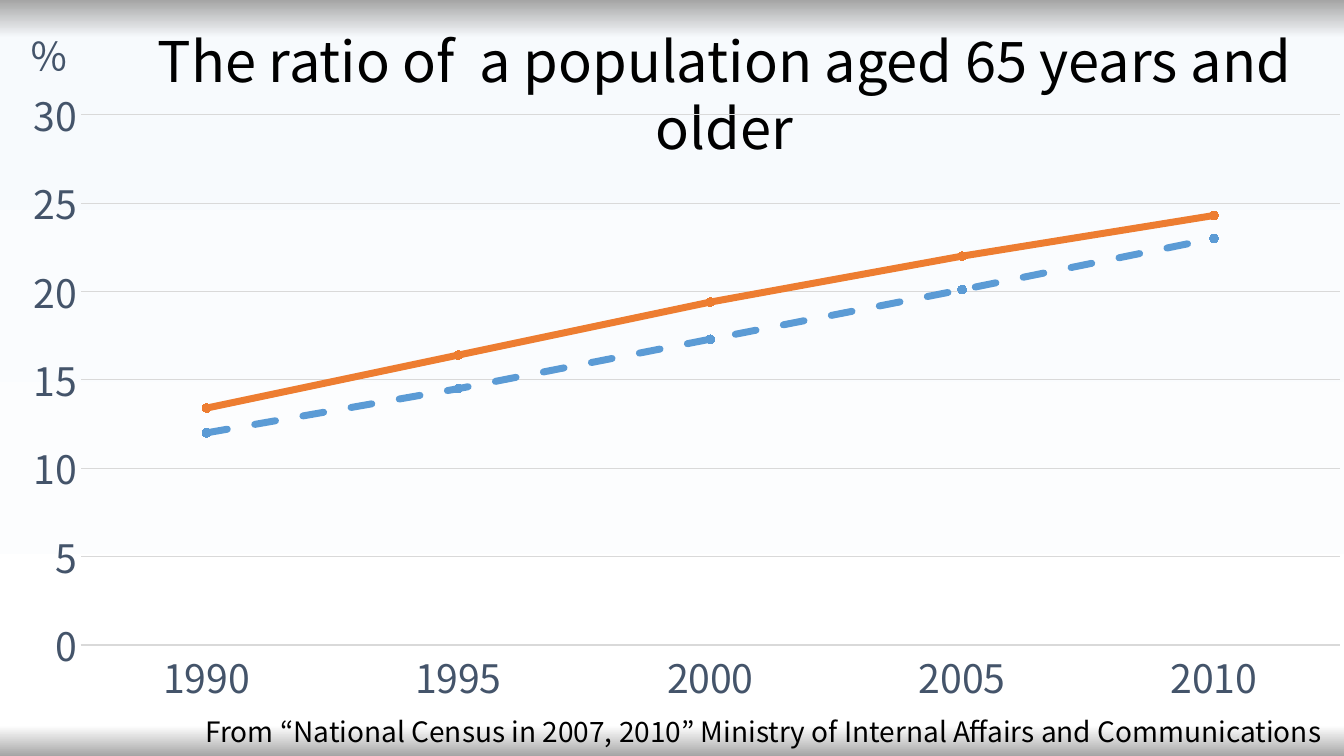
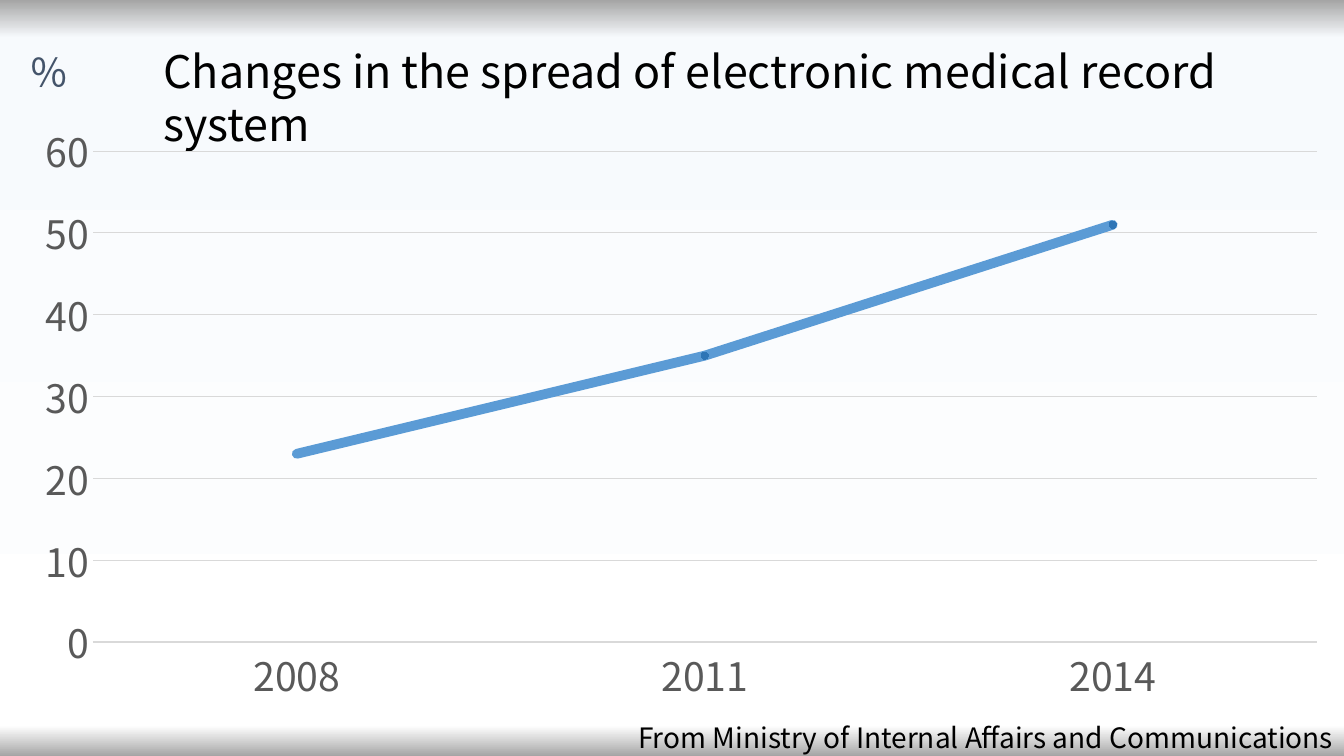
from dataclasses import dataclass

from lxml import etree
from pptx import Presentation
from pptx.chart.data import CategoryChartData
from pptx.dml.color import RGBColor
from pptx.enum.chart import XL_CHART_TYPE, XL_MARKER_STYLE, XL_TICK_MARK
from pptx.enum.dml import MSO_LINE
from pptx.enum.text import MSO_ANCHOR, MSO_AUTO_SIZE, PP_ALIGN
from pptx.oxml.ns import qn
from pptx.util import Emu, Pt

LINE_MARKERS = XL_CHART_TYPE.LINE_MARKERS
CIRCLE = XL_MARKER_STYLE.CIRCLE
NO_TICK = XL_TICK_MARK.NONE
DASH, SOLID = MSO_LINE.DASH, MSO_LINE.SOLID
TOP = MSO_ANCHOR.TOP
FIXED = MSO_AUTO_SIZE.NONE
LEFT, CENTER = PP_ALIGN.LEFT, PP_ALIGN.CENTER
EMU_PER_PX = 9144
TITLE_ONLY = 5


@dataclass(frozen=True)
class Theme:
    """Colours, font and type sizes of the deck."""

    font: str = "Noto Sans CJK JP"
    ink: str = "000000"
    slate: str = "44546A"
    gray: str = "595959"
    grid: str = "D9D9D9"
    blue: str = "5B9BD5"
    deep_blue: str = "2E75B6"
    orange: str = "ED7D31"
    backdrop: tuple = ((0, "A5A5A5"), (5, "F7FAFD"), (96, "FFFFFF"), (100, "A5A5A5"))
    title: int = 40
    long_title: int = 32
    axis: int = 28
    source: int = 20


T = Theme()


@dataclass(frozen=True)
class Line:
    """One series of a line chart; accents are the points with a deeper marker."""

    values: tuple
    color: str
    width: int
    marker: int
    dash: MSO_LINE = SOLID
    accents: tuple = ()


def px(n):
    """Turn px into EMU."""
    return Emu(n * EMU_PER_PX)


def rgb(color):
    """Turn a hex string into a colour."""
    return RGBColor.from_string(color)


def sub(parent, tag, **attrs):
    """Append an XML child with attributes."""
    return etree.SubElement(parent, qn(tag), attrs)


def style_font(font, size, color):
    """Apply the theme font with a size and colour."""
    font.size = Pt(size)
    font.color.rgb = rgb(color)
    font.name = T.font


def style_stroke(line, color, width):
    """Set the colour and width of a line."""
    line.color.rgb = rgb(color)
    line.width = Pt(width)


def paint_backdrop(master):
    """Give the master the vertical gradient with dark edges."""
    fill = master.background.fill
    fill.gradient()
    fill.gradient_angle = 270
    stops = next(master.element.iter(qn("a:gsLst")))
    for stop in list(stops):
        stops.remove(stop)
    for pos, color in T.backdrop:
        gs = sub(stops, "a:gs", pos=str(pos * 1000))
        sub(gs, "a:srgbClr", val=color)


def fill_text(sp, box, text, size, color=T.ink, align=LEFT):
    """Place a shape in its box and write one styled paragraph."""
    sp.left, sp.top, sp.width, sp.height = map(px, box)
    tf = sp.text_frame
    tf.word_wrap = True
    tf.auto_size = FIXED
    tf.vertical_anchor = TOP
    p = tf.paragraphs[0]
    p.text = text
    p.alignment = align
    for r in p.runs:
        style_font(r.font, size, color)
    for latin in list(sp.element.iter(qn("a:latin"))):
        latin.addnext(etree.Element(qn("a:ea"), typeface=T.font))


def add_label(s, box, text, size, color=T.ink):
    """Add a text box."""
    fill_text(s.shapes.add_textbox(0, 0, 0, 0), box, text, size, color)


def set_plot_box(chart, box, plot):
    """Fix the inner plot area within the chart box and clear its backdrop."""
    area = next(chart.element.iter(qn("c:plotArea")))
    for old in area.findall(qn("c:layout")):
        area.remove(old)
    layout = etree.Element(qn("c:layout"))
    manual = sub(layout, "c:manualLayout")
    sub(manual, "c:layoutTarget", val="inner")
    for tag in ("c:xMode", "c:yMode"):
        sub(manual, tag, val="edge")
    for tag, length, whole in zip("xywh", plot, box[2:] * 2):
        sub(manual, f"c:{tag}", val=str(length / whole))
    area.insert(0, layout)
    props = etree.Element(qn("c:spPr"))
    sub(props, "a:noFill")
    sub(sub(props, "a:ln"), "a:noFill")
    chart.element.find(qn("c:chart")).addnext(props)


def style_axes(chart, top, step, color, base_width):
    """Format both axes and the gridlines."""
    for axis in (chart.category_axis, chart.value_axis):
        axis.major_tick_mark = axis.minor_tick_mark = NO_TICK
        style_font(axis.tick_labels.font, T.axis, color)
    style_stroke(chart.category_axis.format.line, T.grid, base_width)
    axis = chart.value_axis
    axis.minimum_scale, axis.maximum_scale, axis.major_unit = 0, top, step
    axis.format.line.fill.background()
    style_stroke(axis.major_gridlines.format.line, T.grid, 0.75)


def style_marker(marker, size, color):
    """Make a round marker in one colour."""
    marker.style = CIRCLE
    marker.size = size
    marker.format.fill.solid()
    marker.format.fill.fore_color.rgb = rgb(color)
    marker.format.line.color.rgb = rgb(color)


def style_series(series, line):
    """Format a series and its accented points."""
    series.smooth = False
    style_stroke(series.format.line, line.color, line.width)
    series.format.line.dash_style = line.dash
    style_marker(series.marker, line.marker, line.color)
    for i in line.accents:
        point = series.points[i]
        style_marker(point.marker, line.marker, T.deep_blue)
        style_stroke(point.format.line, T.deep_blue, line.width)


def add_line_chart(s, box, plot, cats, lines, top, step, color, base_width):
    """Add a line chart with round line ends."""
    data = CategoryChartData()
    data.categories = cats
    for i, line in enumerate(lines, 1):
        data.add_series(f"Series {i}", line.values)
    chart = s.shapes.add_chart(LINE_MARKERS, *map(px, box), data).chart
    chart.has_legend = chart.has_title = False
    style_font(chart.font, 10, T.ink)
    chart.plots[0].vary_by_categories = False
    style_axes(chart, top, step, color, base_width)
    for series, line in zip(chart.plots[0].series, lines):
        style_series(series, line)
    for ser in chart.element.iter(qn("c:ser")):
        ser.find(qn("c:spPr")).find(qn("a:ln")).set("cap", "rnd")
    set_plot_box(chart, box, plot)


def add_chart_slide(prs, title, unit_box, source, chart):
    """Add a slide with a chart, its title, its unit and its source."""
    s = prs.slides.add_slide(prs.slide_layouts[TITLE_ONLY])
    add_line_chart(s, **chart)
    fill_text(s.shapes.title, **title)
    add_label(s, unit_box, "％", T.axis, T.slate)
    add_label(s, *source, T.source)


def main():
    """Build the deck."""
    prs = Presentation()
    prs.slide_width, prs.slide_height = px(1333), px(750)
    paint_backdrop(prs.slide_master)
    add_chart_slide(
        prs,
        title=dict(
            box=(103, 21, 1231, 144),
            text="The ratio of  a population aged 65 years and older",
            size=T.title,
            align=CENTER,
        ),
        unit_box=(19, 27, 77, 57),
        source=(
            (194, 704, 1139, 44),
            "From “National Census in 2007, 2010” Ministry of Internal Affairs and Communications",
        ),
        chart=dict(
            box=(26, 0, 1308, 700),
            plot=(54, 114, 1249, 526),
            cats=("1990", "1995", "2000", "2005", "2010"),
            lines=(
                Line((12, 14.5, 17.3, 20.1, 23), T.blue, 5, 6, DASH),
                Line((13.4, 16.4, 19.4, 22, 24.3), T.orange, 5, 6),
            ),
            top=30,
            step=5,
            color=T.slate,
            base_width=1,
        ),
    )
    add_chart_slide(
        prs,
        title=dict(
            box=(152, 38, 1142, 117),
            text="Changes in the spread of electronic medical record system",
            size=T.long_title,
        ),
        unit_box=(19, 43, 77, 57),
        source=((623, 710, 710, 44), "From Ministry of Internal Affairs and Communications"),
        chart=dict(
            box=(19, 110, 1314, 599),
            plot=(73, 40, 1214, 487),
            cats=("2008", "2011", "2014"),
            lines=(Line((23, 35, 51), T.blue, 7, 5, accents=(1, 2)),),
            top=60,
            step=10,
            color=T.gray,
            base_width=0.75,
        ),
    )
    prs.save("out.pptx")


if __name__ == "__main__":
    main()
